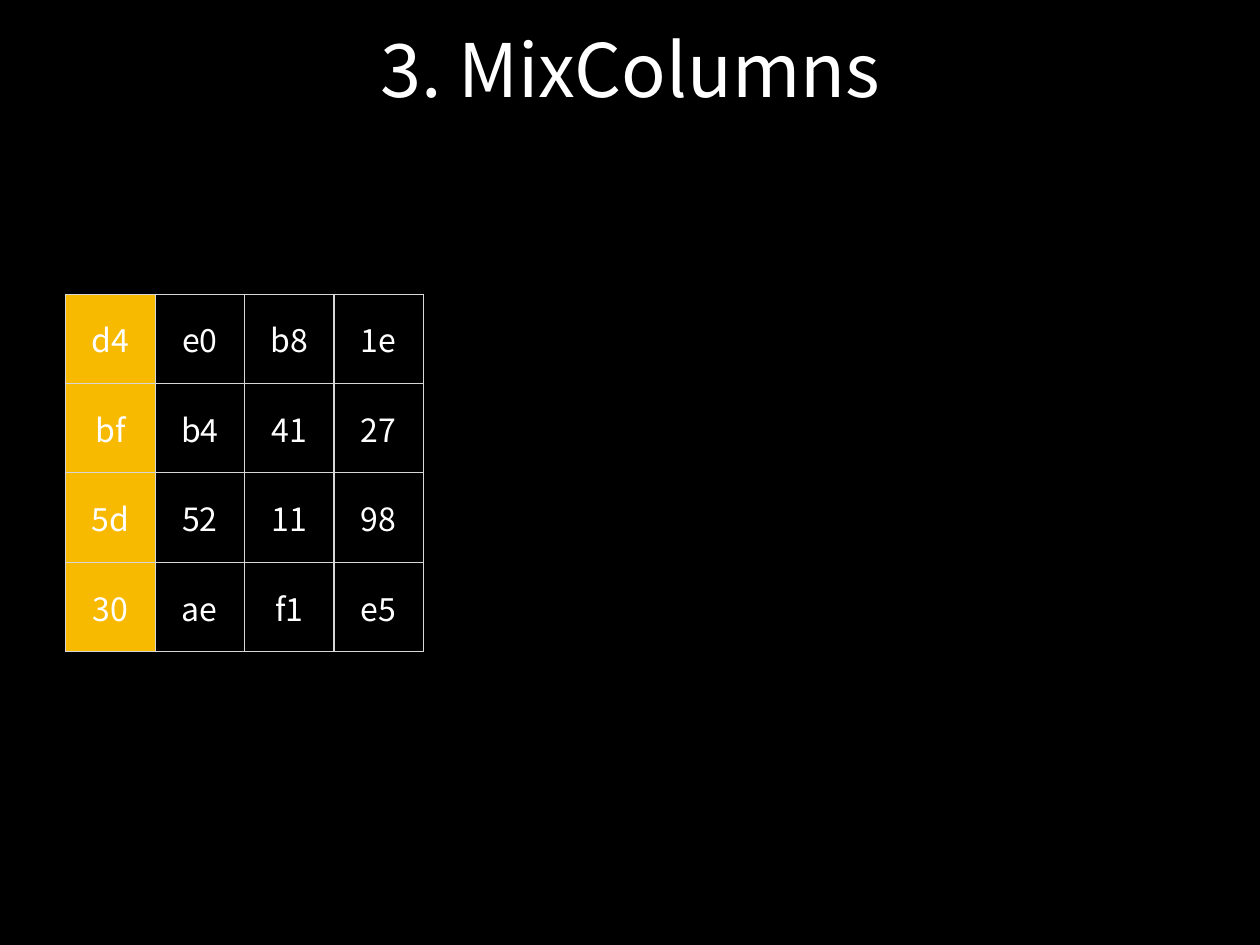
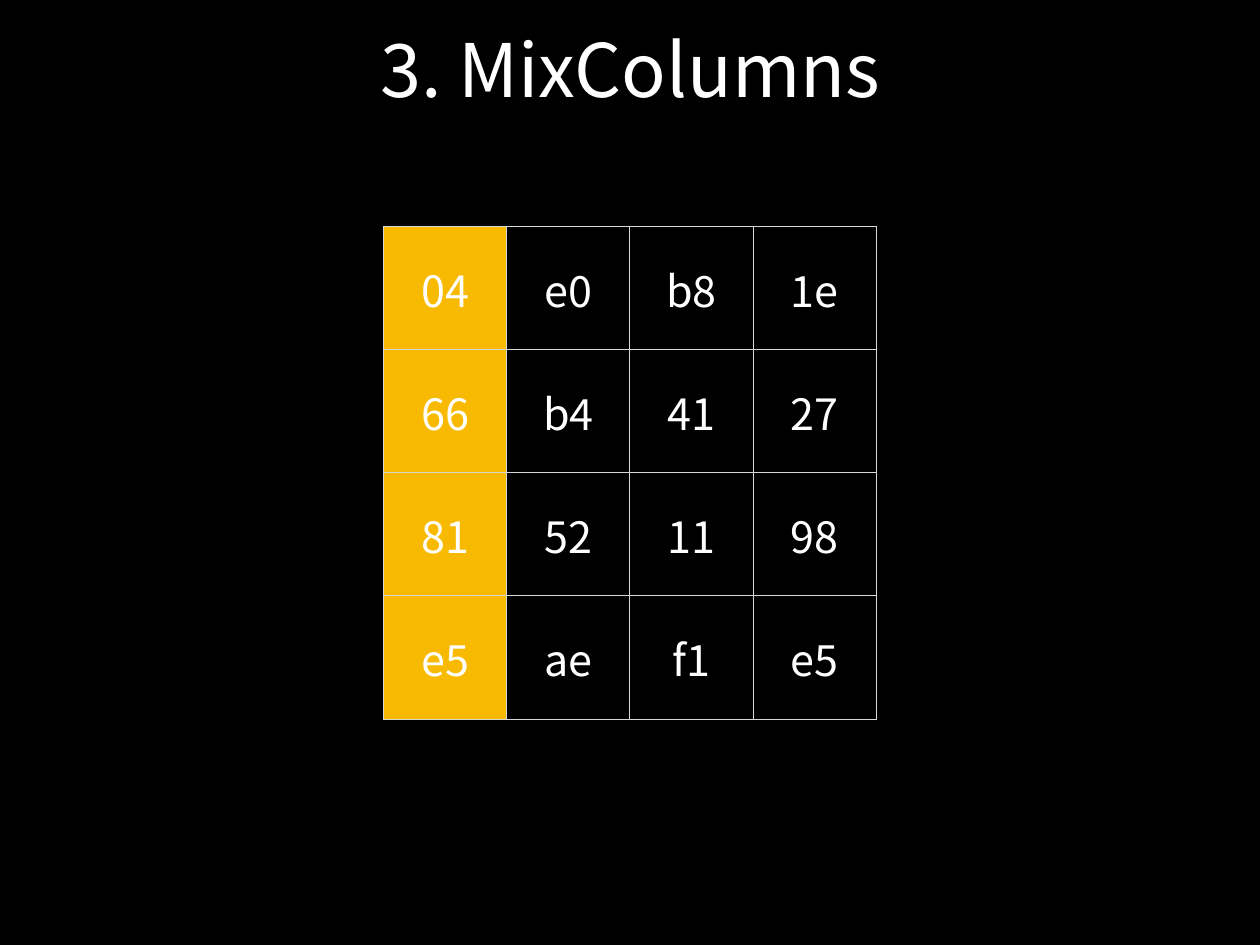
from lxml.etree import SubElement
from pptx import Presentation
from pptx.dml.color import RGBColor
from pptx.enum.text import MSO_ANCHOR as Anchor, MSO_AUTO_SIZE as Fit, PP_ALIGN as Align
from pptx.oxml.ns import qn
from pptx.util import Pt

PX = 9144  # 100 px to the inch
WIDE, HIGH = 1422, 1067
PAD = 6 * PX
FONT = "Noto Sans CJK KR"
BLACK = RGBColor(0x00, 0x00, 0x00)
WHITE = RGBColor(0xFF, 0xFF, 0xFF)
GOLD = RGBColor(0xF8, 0xBA, 0x00)
GREY = RGBColor(0xD6, 0xD7, 0xD6)

TITLE = "3. MixColumns"
PLACE = {"left": 104, "top": 35, "width": 1214, "height": 83}
MARGINS = {f"margin_{side}": PAD for side in ("left", "top", "right", "bottom")}
FRAME = {**MARGINS, "vertical_anchor": Anchor.MIDDLE, "word_wrap": True,
         "auto_size": Fit.NONE}
CELL = {**MARGINS, "vertical_anchor": Anchor.MIDDLE}
PLAIN = {"first_row": False, "horz_banding": False}

# The columns that stay the same while the first one is mixed
REST = ["e0 b8 1e", "b4 41 27", "52 11 98", "ae f1 e5"]
STATES = [
    {"first": "d4 bf 5d 30", "left": 74, "top": 332, "side": 101, "size": 26},
    {"first": "04 66 81 e5", "left": 433, "top": 256, "side": 139, "size": 35},
]


def apply(item, values):
    for name, value in values.items():
        setattr(item, name, value)


def write(frame, text, size):
    """Put one centred white line into a text frame."""
    frame.text = text
    line = frame.paragraphs[0]
    line.alignment = Align.CENTER
    apply(line.font, {"name": FONT, "size": Pt(size), "bold": False})
    line.font.color.rgb = WHITE


def border(cell):
    props = cell._tc.get_or_add_tcPr()
    for side in "LRTB":
        edge = SubElement(props, qn(f"a:ln{side}"), w=str(Pt(1)))
        fill = SubElement(edge, qn("a:solidFill"))
        SubElement(fill, qn("a:srgbClr"), val=str(GREY))


def add_title(slide):
    frame = slide.shapes.title.text_frame
    apply(frame, FRAME)
    write(frame, TITLE, 60)


def add_state(slide, first, left, top, side, size):
    """Draw a square grid of bytes with its first column marked."""
    rows = [[head, *tail.split()] for head, tail in zip(first.split(), REST)]
    count = len(rows)
    span = count * side * PX
    table = slide.shapes.add_table(
        count, count, left * PX, top * PX, span, span).table
    apply(table, PLAIN)
    for row, texts in enumerate(rows):
        for col, text in enumerate(texts):
            cell = table.cell(row, col)
            apply(cell, CELL)
            write(cell.text_frame, text, size)
            border(cell)
            if col == 0:
                cell.fill.solid()
                cell.fill.fore_color.rgb = GOLD
            else:
                cell.fill.background()


def set_theme(deck):
    """Set the shared background and title place; return the layout."""
    apply(deck, {"slide_width": WIDE * PX, "slide_height": HIGH * PX})
    back = deck.slide_master.background.fill
    back.solid()
    back.fore_color.rgb = BLACK
    layout = deck.slide_layouts.get_by_name("Title Only")
    title = layout.placeholders[0]
    apply(title, {name: value * PX for name, value in PLACE.items()})
    return layout


def main():
    deck = Presentation()
    layout = set_theme(deck)
    for state in STATES:
        slide = deck.slides.add_slide(layout)
        add_title(slide)
        add_state(slide, **state)
    deck.save("out.pptx")


if __name__ == "__main__":
    main()
